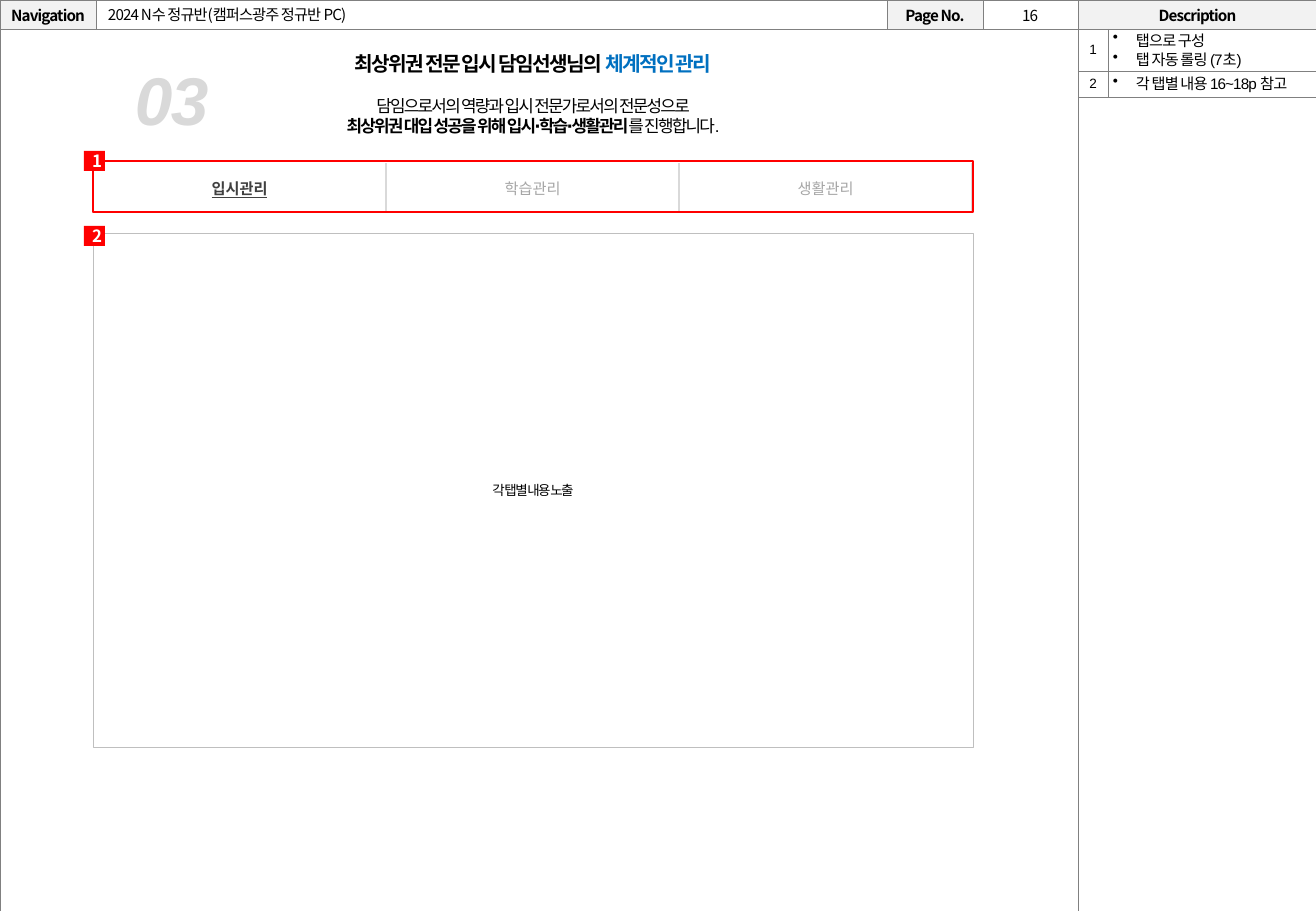
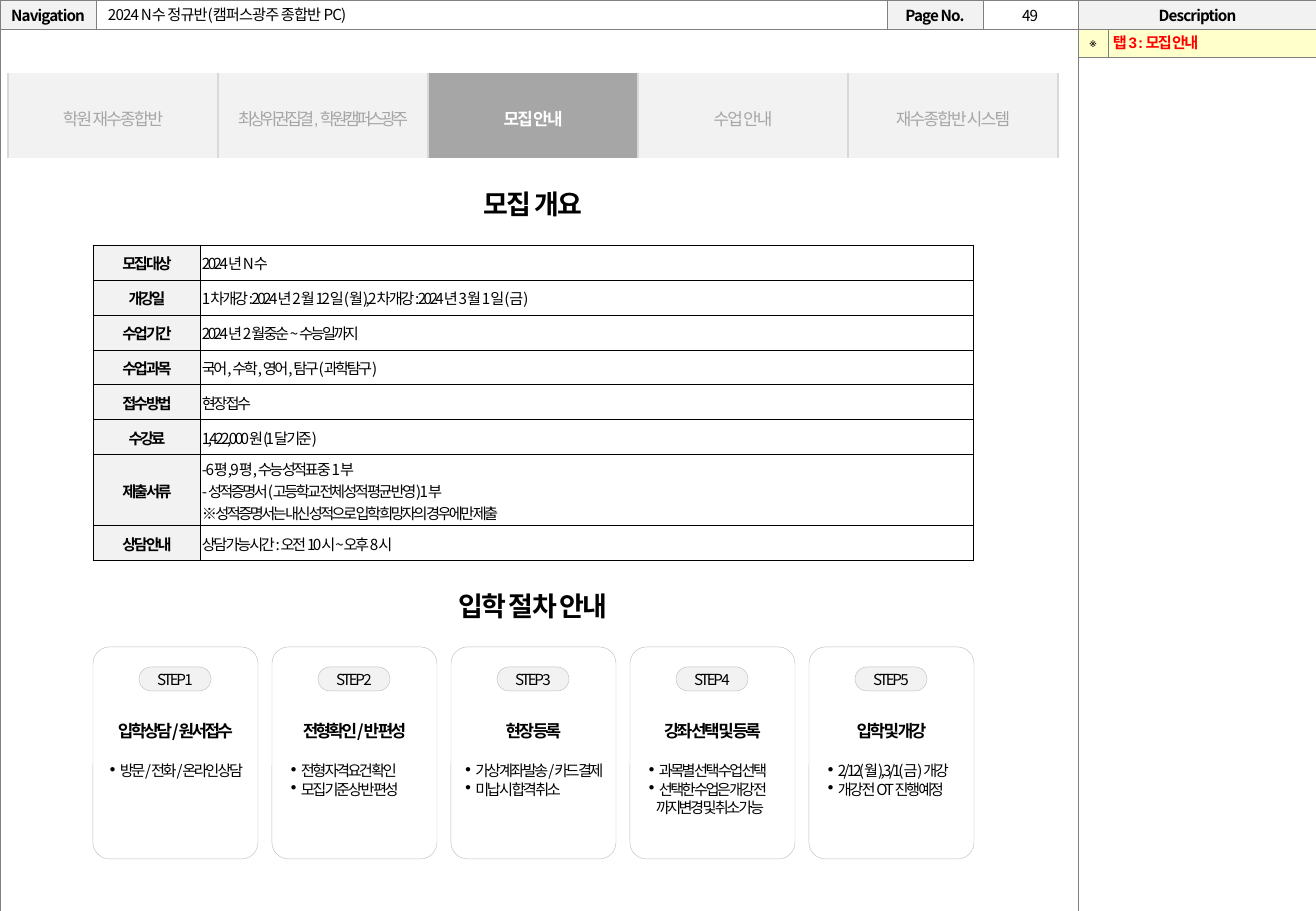
from dataclasses import dataclass, replace

from pptx import Presentation
from pptx.dml.color import RGBColor
from pptx.enum.shapes import MSO_SHAPE
from pptx.enum.text import MSO_ANCHOR, PP_ALIGN
from pptx.oxml.xmlchemy import OxmlElement
from pptx.util import Emu, Pt

SCALE = 914400 / 121.5
PAGE_WIDTH, PAGE_HEIGHT = 1316, 911

BLACK = RGBColor(0x00, 0x00, 0x00)
WHITE = RGBColor(0xFF, 0xFF, 0xFF)
RED = RGBColor(0xFF, 0x00, 0x00)
BLUE = RGBColor(0x00, 0x70, 0xC0)
CREAM = RGBColor(0xFF, 0xFF, 0xCC)
CHARCOAL = RGBColor(0x40, 0x40, 0x40)
FRAME_GRAY = RGBColor(0x80, 0x80, 0x80)
MID_GRAY = RGBColor(0xA6, 0xA6, 0xA6)
OUTLINE_GRAY = RGBColor(0xBF, 0xBF, 0xBF)
LIGHT_GRAY = RGBColor(0xD9, 0xD9, 0xD9)
PALE_GRAY = RGBColor(0xF2, 0xF2, 0xF2)

RECT, ROUND_RECT = MSO_SHAPE.RECTANGLE, MSO_SHAPE.ROUNDED_RECTANGLE
TOP, MIDDLE = MSO_ANCHOR.TOP, MSO_ANCHOR.MIDDLE
LEFT, CENTER, JUSTIFY = PP_ALIGN.LEFT, PP_ALIGN.CENTER, PP_ALIGN.JUSTIFY
KOREAN_FONT = "Noto Sans CJK KR"
DEFAULT_MARGINS = (12, 6, 12, 6)


@dataclass(frozen=True)
class Style:
    """Text look; line and before are points, line may be a factor, hang is px."""
    size: int = 9
    font: str = KOREAN_FONT
    color: RGBColor = BLACK
    bold: bool = False
    italic: bool = False
    underline: bool = False
    tracking: float = 0
    align: PP_ALIGN = CENTER
    line: object = None
    before: int = 0
    bullet: str = ""
    hang: int = 0


HEADER = Style(tracking=-0.5)
HEADER_LABEL = replace(HEADER, bold=True)
PAGE_NUMBER = replace(HEADER, line=Pt(12))
TITLE = replace(HEADER, align=LEFT)
SECTION = Style(16, "Arial", bold=True, tracking=-1, line=Pt(20))
LEAD = replace(SECTION, size=12, line=Pt(15))
INTRO = Style(10, "Arial", tracking=-1, line=Pt(12))
BIG_NUMBER = Style(40, "Arial", LIGHT_GRAY, True, True, tracking=-1, align=LEFT)
PANEL = Style(8, "Arial", tracking=-1)
BADGE = Style(10, color=WHITE, bold=True)
TAB_ON = Style(9, "DejaVu Sans", CHARCOAL, True, underline=True)
TAB_OFF = Style(9, "DejaVu Sans", MID_GRAY)
MENU_OFF = Style(10, "Arial", MID_GRAY, tracking=-1, line=1.2)
MENU_TIGHT = replace(MENU_OFF, tracking=-2)
MENU_ON = replace(MENU_OFF, color=WHITE, bold=True)
MARKER = Style(8, "Arial", tracking=-1, line=0.9)
REMARK = Style(9, "Arial", tracking=-0.5, align=LEFT, line=0.9, bullet="•", hang=23)
NOTICE = Style(9, "Arial", RED, True, tracking=-1, align=LEFT, line=0.9)
INFO = Style(tracking=-1.5, align=LEFT)
INFO_LABEL = replace(INFO, bold=True, align=CENTER)
STEP = Style(tracking=-1.5)
CARD_TITLE = Style(10, bold=True, tracking=-1.5, line=Pt(12))
CARD_FIRST = Style(tracking=-1.5, align=JUSTIFY, line=Pt(11), before=12,
                   bullet="∙", hang=12)
CARD_ITEM = replace(CARD_FIRST, before=0)
CARD_MORE = replace(CARD_ITEM, bullet="", hang=9)


def px(length):
    return Emu(round(length * SCALE))


def style_span(span, style):
    font = span.font
    font.size, font.bold, font.italic = Pt(style.size), style.bold, style.italic
    font.underline = style.underline
    font.color.rgb = style.color
    font.name = style.font
    properties = span._r.get_or_add_rPr()
    properties.set("spc", str(round(style.tracking * 100)))
    east_asian = OxmlElement("a:ea")
    east_asian.set("typeface", KOREAN_FONT)
    properties.append(east_asian)


def add_span(para, text, style):
    span = para.add_run()
    span.text = text
    style_span(span, style)


def style_para(para, style):
    para.alignment = style.align
    if style.line:
        para.line_spacing = style.line
    if style.before:
        para.space_before = Pt(style.before)
    if style.hang:
        para._p.get_or_add_pPr().set("marL", str(px(style.hang)))
    if style.bullet:
        properties = para._p.get_or_add_pPr()
        properties.set("indent", str(-px(style.hang)))
        mark = OxmlElement("a:buChar")
        mark.set("char", style.bullet)
        properties.append(mark)
    for span in para.runs:
        style_span(span, style)
    if not para.runs:
        end = OxmlElement("a:endParaRPr")
        end.set("sz", str(style.size * 100))
        para._p.append(end)


def write(frame, lines):
    """Fill a text frame with (text, style) paragraphs."""
    frame.text = "\n".join(text for text, _ in lines)
    for para, (_, style) in zip(frame.paragraphs, lines):
        style_para(para, style)


def set_margins(target, margins):
    (target.margin_left, target.margin_top,
     target.margin_right, target.margin_bottom) = map(px, margins)


def set_up_frame(frame, lines, anchor, margins, wrap):
    set_margins(frame, margins)
    frame.word_wrap = wrap
    frame.vertical_anchor = anchor
    write(frame, lines)
    return frame


def add_text(page, box, lines, anchor=TOP, margins=DEFAULT_MARGINS):
    shape = page.shapes.add_textbox(*map(px, box))
    return set_up_frame(shape.text_frame, lines, anchor, margins, True)


def add_box(page, box, lines=(), kind=RECT, fill=None, outline=None, weight=0.25,
            corner=None, anchor=MIDDLE, margins=DEFAULT_MARGINS, wrap=True):
    shape = page.shapes.add_shape(kind, *map(px, box))
    shape.shadow.inherit = False
    if corner is not None:
        shape.adjustments[0] = corner
    if fill is None:
        shape.fill.background()
    else:
        shape.fill.solid()
        shape.fill.fore_color.rgb = fill
    if outline is None:
        shape.line.fill.background()
    else:
        shape.line.color.rgb = outline
        shape.line.width = Pt(weight)
    if lines:
        set_up_frame(shape.text_frame, lines, anchor, margins, wrap)


def set_borders(cell, sides, color, weight):
    properties = cell._tc.get_or_add_tcPr()
    for position, side in enumerate("LRTB"):
        line = OxmlElement(f"a:ln{side}")
        line.set("w", str(Pt(weight)))
        if side in sides:
            paint = OxmlElement("a:solidFill")
            value = OxmlElement("a:srgbClr")
            value.set("val", str(color))
            paint.append(value)
        else:
            paint = OxmlElement("a:noFill")
        line.append(paint)
        properties.insert(position, line)


def add_grid(page, left, top, widths, heights, rows, color, weight,
             sides="LRTB", margins=DEFAULT_MARGINS):
    """Add a table; each entry of rows is a list of (lines, fill) cells."""
    frame = page.shapes.add_table(len(heights), len(widths), px(left), px(top),
                                  px(sum(widths)), px(sum(heights)))
    table = frame.table
    table.first_row = table.horz_banding = False
    for column, width in zip(table.columns, widths):
        column.width = px(width)
    for row, height in zip(table.rows, heights):
        row.height = px(height)
    for row, contents in zip(table.rows, rows):
        for cell, (lines, fill) in zip(row.cells, contents):
            set_margins(cell, margins)
            cell.vertical_anchor = MIDDLE
            write(cell.text_frame, lines)
            if fill is None:
                cell.fill.background()
            else:
                cell.fill.solid()
                cell.fill.fore_color.rgb = fill
            set_borders(cell, sides, color, weight)
    return table


def add_page(deck, title, number):
    """Add a page with the storyboard frame, its title and its number."""
    page = deck.slides.add_slide(deck.slide_layouts[6])
    labels = ["Navigation", "", "Page No.", "", "Description"]
    head = [([(label, HEADER_LABEL)], PALE_GRAY if label else WHITE) for label in labels]
    body = [([("", HEADER)], WHITE)] * len(labels)
    frame = add_grid(page, 0, 0, [96, 791, 96, 95, 239], [29, 883], [head, body],
                     FRAME_GRAY, 0.25, margins=(0, 0, 0, 0))
    frame.cell(1, 0).merge(frame.cell(1, 3))
    add_text(page, (983, -2, 94, 30), [(number, PAGE_NUMBER)])
    add_text(page, (96, 0, 791, 28), [(title, TITLE)], MIDDLE)
    return page


def add_description(page, heights, entries, fill=None):
    rows = [[([(marker, MARKER)], fill), (lines, fill)] for marker, lines in entries]
    add_grid(page, 1078, 29, [30, 209], heights, rows, FRAME_GRAY, 0.25,
             margins=(5, 1, 5, 1))


def add_intro(page, left, top, width):
    frame = add_text(page, (left, top, width, 119), [
        ("최상위권 전문 입시 담임선생님의 ", LEAD),
        ("담임으로서의 역량과 입시 전문가로서의 전문성으로", replace(INTRO, before=12)),
        ("최상위권 대입 성공을 위해 입시∙학습∙생활관리", replace(INTRO, bold=True))])
    add_span(frame.paragraphs[0], "체계적인 관리", replace(LEAD, color=BLUE))
    add_span(frame.paragraphs[2], "를 진행합니다.", INTRO)
    add_text(page, (left + 30, top + 2, 106, 94), [("03", BIG_NUMBER)],
             margins=(12, 12, 12, 0))


def add_badge(page, left, top, number):
    add_box(page, (left, top, 21, 20), [(number, BADGE)], fill=RED,
            margins=(5, 0, 0, 0), wrap=False)


def add_tabs(page, left, top, width, height, tabs, fills, sides="LR"):
    cells = [([tab], fill) for tab, fill in zip(tabs, fills)]
    add_grid(page, left, top, [width] * len(tabs), [height], [cells],
             LIGHT_GRAY, 1, sides)


def add_info_table(page, left, top, entries):
    rows = [[([(label, INFO_LABEL)], PALE_GRAY),
             ([(line, INFO) for line in lines], WHITE)] for label, *lines in entries]
    heights = [35 if len(lines) == 1 else 71 for _, *lines in entries]
    add_grid(page, left, top, [107, 773], heights, rows, BLACK, 0.5,
             margins=(2, 1, 1, 0))


def add_step_card(page, left, top, number, lines):
    add_box(page, (left, top, 165, 212), lines, ROUND_RECT, WHITE, OUTLINE_GRAY,
            corner=0.1, anchor=TOP, margins=(12, 69, 12, 6), wrap=False)
    add_box(page, (left + 46, top + 20, 72, 24), [(f"STEP {number}", STEP)], ROUND_RECT,
            PALE_GRAY, OUTLINE_GRAY, corner=0.5, wrap=False)


def build_management_page(deck):
    page = add_page(deck, "2024 N수 정규반(캠퍼스광주 정규반 PC)", "16")
    add_intro(page, 93, 44, 880)
    add_box(page, (93, 233, 880, 514), [("각 탭별 내용 노출", PANEL)],
            fill=WHITE, outline=OUTLINE_GRAY)
    tabs = [("입시관리", TAB_ON), ("학습관리", TAB_OFF), ("생활관리", TAB_OFF)]
    add_tabs(page, 93, 163, 293, 50, tabs, [None] * 3)
    add_box(page, (93, 161, 880, 51), outline=RED, weight=1)
    for number, top in (("1", 151), ("2", 226)):
        add_badge(page, 84, top, number)
    add_description(page, [42, 26], [
        ("1", [("탭으로 구성", REMARK), ("탭 자동 롤링 (7초)", REMARK)]),
        ("2", [("각 탭별 내용 16~18p 참고", REMARK)])])


def build_admission_page(deck):
    page = add_page(deck, "2024 N수 정규반(캠퍼스광주 종합반 PC)", "49")
    add_description(page, [28], [("※", [("탭 3 : 모집 안내", NOTICE)])], CREAM)
    menu = [("학원 재수종합반", MENU_OFF), ("최상위권 집결, 학원캠퍼스 광주", MENU_TIGHT),
            ("모집 안내", MENU_ON), ("수업 안내", MENU_OFF), ("재수종합반 시스템", MENU_OFF)]
    fills = [MID_GRAY if style is MENU_ON else PALE_GRAY for _, style in menu]
    add_tabs(page, 8, 73, 210, 85, menu, fills)
    for heading, top in (("모집 개요", 180), ("입학 절차 안내", 582)):
        add_text(page, (93, top, 880, 45), [(heading, SECTION)])
    add_info_table(page, 93, 245, [
        ("모집 대상", "2024년 N수"),
        ("개강일", "1차 개강 : 2024년 2월 12일(월), 2차 개강 : 2024년 3월 1일(금)"),
        ("수업 기간", "2024년 2월 중순 ~ 수능일까지"),
        ("수업 과목", "국어, 수학, 영어, 탐구(과학탐구)"),
        ("접수 방법", "현장 접수"),
        ("수강료", "1,422,000원(1달 기준)"),
        ("제출 서류", "- 6평, 9평, 수능 성적표 중 1부",
         "- 성적증명서(고등학교 전체 성적 평균 반영) 1부",
         "※ 성적증명서는 내신 성적으로 입학 희망자의 경우에만 제출"),
        ("상담 안내", "상담 가능 시간 : 오전 10시~오후 8시")])
    steps = [
        ("입학상담/원서접수", "방문/전화/온라인 상담"),
        ("전형확인/반 편성", "전형 자격요건 확인", "모집 기준 상 반 편성"),
        ("현장 등록", "가상 계좌 발송/카드 결제", "미납 시 합격 취소"),
        ("강좌 선택 및 등록", "과목별 선택 수업 선택", "선택한 수업은 개강 전",
         "까지변경 및 취소 가능"),
        ("입학 및 개강", "2/12(월), 3/1(금) 개강", "개강 전 OT 진행 예정")]
    card_styles = [CARD_TITLE, CARD_FIRST, CARD_ITEM, CARD_MORE]
    for index, texts in enumerate(steps):
        add_step_card(page, 93 + 179 * index, 647, index + 1,
                      list(zip(texts, card_styles)))


def main():
    deck = Presentation()
    deck.slide_width, deck.slide_height = px(PAGE_WIDTH), px(PAGE_HEIGHT)
    build_management_page(deck)
    build_admission_page(deck)
    deck.save("out.pptx")


if __name__ == "__main__":
    main()
